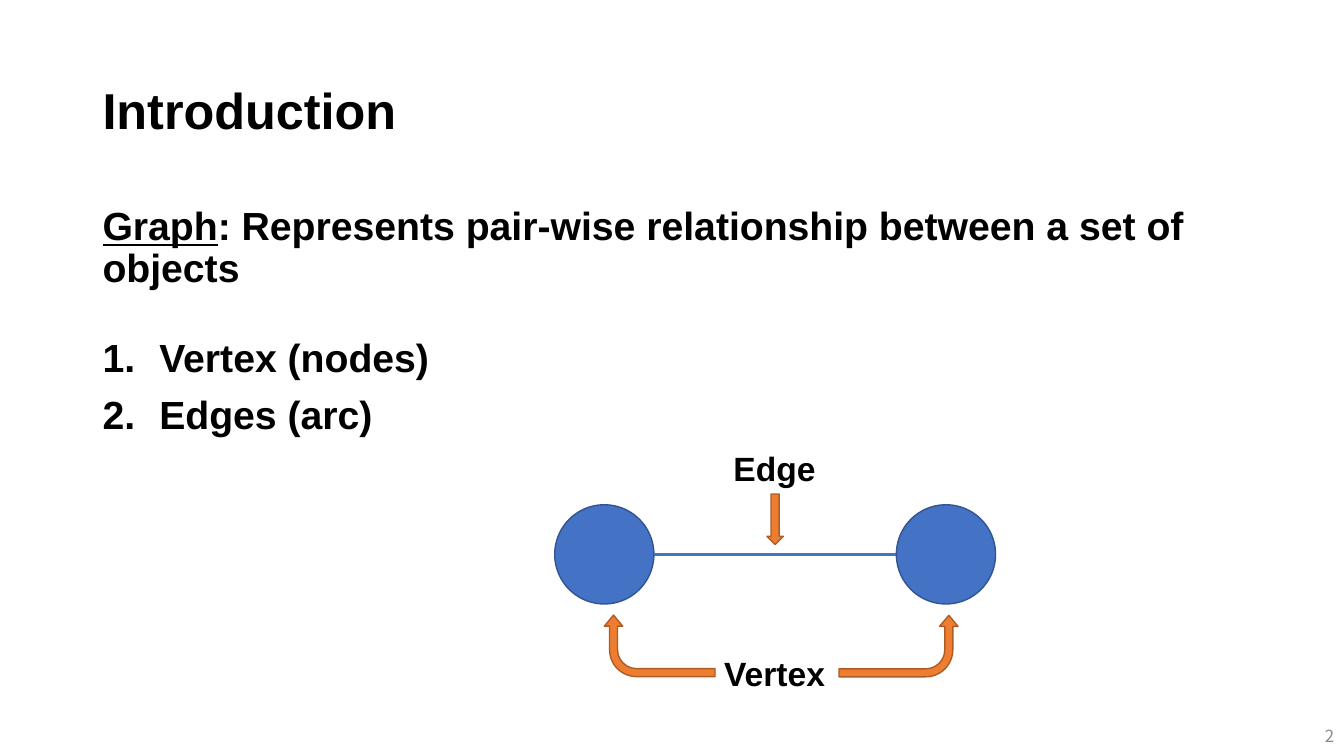
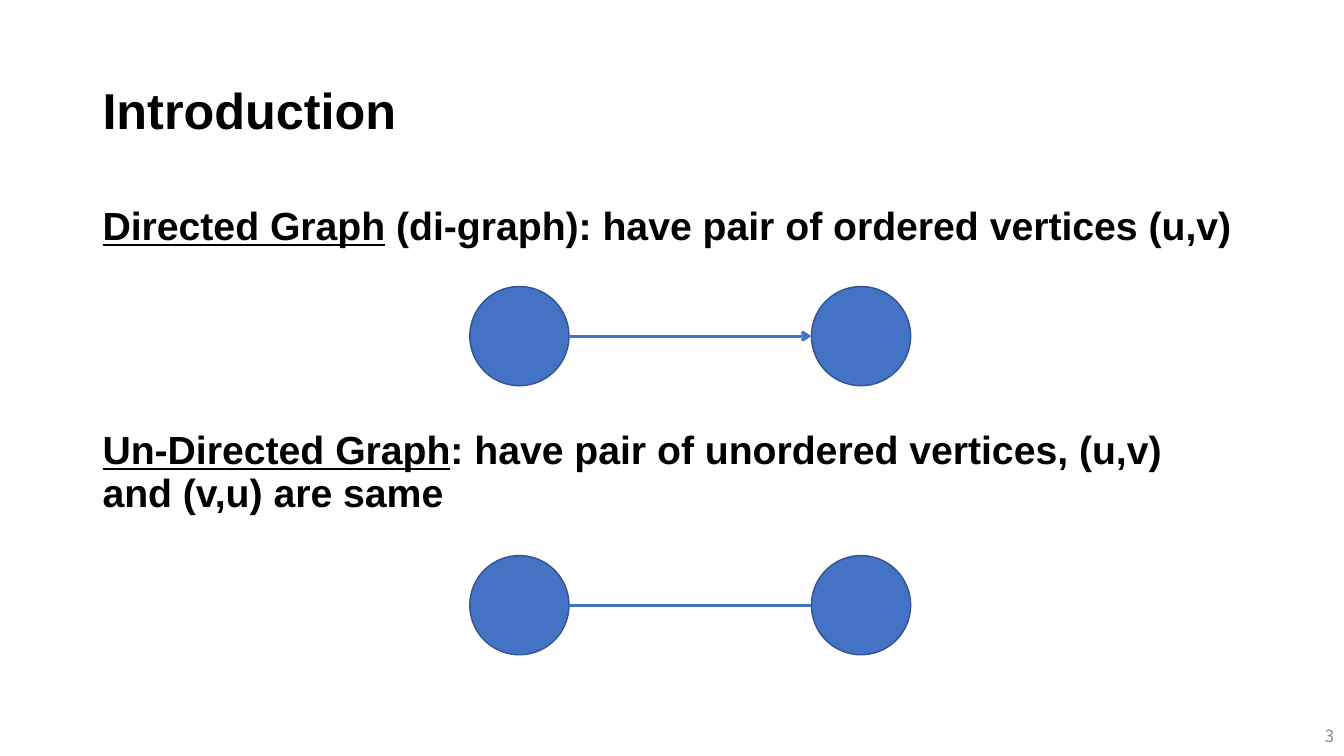
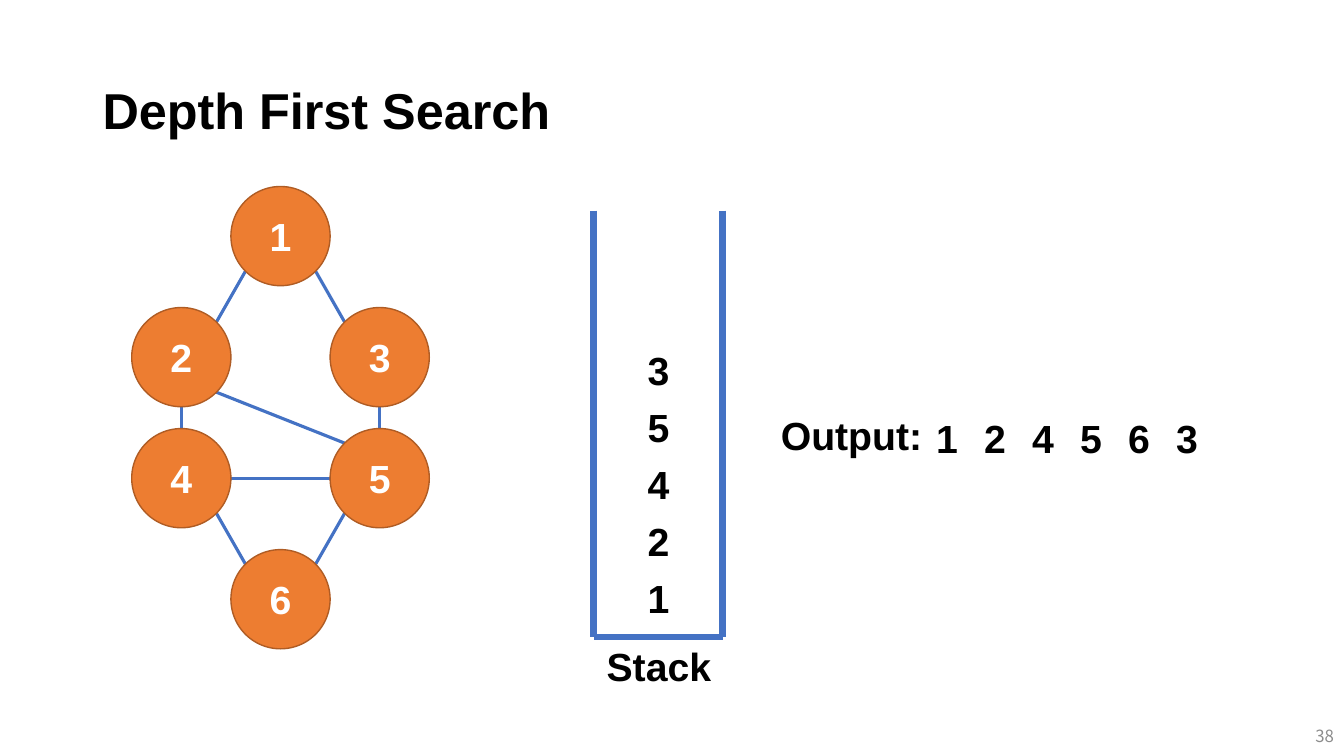
"""Build three slides that introduce graphs and depth first search."""
from lxml import etree
from pptx import Presentation
from pptx.dml.color import RGBColor
from pptx.enum import shapes, text
from pptx.oxml.ns import qn
from pptx.util import Cm, Pt

BLACK = RGBColor(0, 0, 0)
WHITE = RGBColor(255, 255, 255)
GREY = RGBColor(0x8C, 0x8C, 0x8C)
BLUE = RGBColor(0x44, 0x72, 0xC4)
NAVY = RGBColor(0x32, 0x54, 0x91)
ORANGE = RGBColor(0xED, 0x7D, 0x31)
RUST = RGBColor(0xAF, 0x5C, 0x24)

FONT = "Arial"
SMALL = "Noto Sans CJK KR"
SIDE, WIDE = 2.33, 29.21
NODE = 2.5
SPAN = 8.61
LEFT, MID, RIGHT = text.PP_ALIGN.LEFT, text.PP_ALIGN.CENTER, text.PP_ALIGN.RIGHT


def style(para, size, color=BLACK, align=LEFT, name=FONT, bold=True):
    """Set the alignment and font of a whole paragraph."""
    para.alignment = align
    font = para.font
    font.name, font.size, font.bold = name, Pt(size), bold
    font.color.rgb = color


def place(shape, x, y, w, h):
    """Move and size a shape, in centimetres."""
    shape.left, shape.top, shape.width, shape.height = Cm(x), Cm(y), Cm(w), Cm(h)


def label(slide, words, x, y, w, h=1.45, size=28, **look):
    """Add a one-line text box."""
    box = slide.shapes.add_textbox(Cm(x), Cm(y), Cm(w), Cm(h))
    frame = box.text_frame
    frame.word_wrap = True
    frame.text = words
    style(frame.paragraphs[0], size, **look)
    return frame


def page(deck, title, number, layout=1):
    """Add a slide with its title and page number."""
    slide = deck.slides.add_slide(deck.slide_layouts[layout])
    head = slide.shapes.title
    place(head, SIDE, 1.01, WIDE, 3.68)
    frame = head.text_frame
    frame.text = title
    frame.vertical_anchor = text.MSO_ANCHOR.MIDDLE
    frame.auto_size = text.MSO_AUTO_SIZE.NONE
    para = frame.paragraphs[0]
    para.line_spacing = 0.9
    style(para, 36)
    foot = label(slide, str(number), 26.25, 18.03, 7.62, 1.02, 12,
                 color=GREY, align=RIGHT, name=SMALL, bold=False)
    foot.vertical_anchor = text.MSO_ANCHOR.MIDDLE
    return slide


def body(slide, items, height):
    """Fill the body with (term, rest, space before) items; no term means numbered."""
    hold = slide.placeholders[1]
    place(hold, SIDE, 5.08, WIDE, height)
    frame = hold.text_frame
    frame.auto_size = text.MSO_AUTO_SIZE.NONE
    for i, (term, rest, space) in enumerate(items):
        para = frame.add_paragraph() if i else frame.paragraphs[0]
        para.line_spacing = 0.9
        para.space_before = Pt(space)
        props = para._p.get_or_add_pPr()
        dent = 0 if term else Cm(1.43)
        props.set("marL", str(dent))
        props.set("indent", str(-dent))
        if term:
            etree.SubElement(props, qn("a:buNone"))
            para.add_run().text = term
            para.runs[0].font.underline = True
        else:
            etree.SubElement(props, qn("a:buFont"), typeface="+mj-lt")
            etree.SubElement(props, qn("a:buAutoNum"), type="arabicPeriod")
        para.add_run().text = rest
        style(para, 28)


def solid(slide, kind, x, y, w, h, fill=ORANGE, edge=RUST):
    """Add a filled and outlined preset shape."""
    shape = slide.shapes.add_shape(kind, Cm(x), Cm(y), Cm(w), Cm(h))
    shape.shadow.inherit = False
    shape.fill.solid()
    shape.fill.fore_color.rgb = fill
    shape.line.color.rgb = edge
    shape.line.width = Pt(1)
    return shape


def node(slide, spot, name="", fill=ORANGE, edge=RUST):
    """Add a round node centred on a spot."""
    x, y = spot
    half = NODE / 2
    shape = solid(slide, shapes.MSO_SHAPE.OVAL, x - half, y - half, NODE, NODE, fill, edge)
    if name:
        frame = shape.text_frame
        frame.text = name
        frame.vertical_anchor = text.MSO_ANCHOR.MIDDLE
        style(frame.paragraphs[0], 28, WHITE, MID)


def line(slide, start, end, width=2.25, arrow=False):
    """Add a straight blue line, with an arrowhead if wanted."""
    wire = slide.shapes.add_connector(
        shapes.MSO_CONNECTOR.STRAIGHT, *(Cm(v) for v in (*start, *end)))
    wire.line.color.rgb = BLUE
    wire.line.width = Pt(width)
    if arrow:
        etree.SubElement(wire.line._get_or_add_ln(), qn("a:tailEnd"), type="arrow")
    etree.SubElement(wire._element.spPr, qn("a:effectLst"))


def link(slide, a, b, arrow=False):
    """Join two nodes at the rim points that face each other."""
    dx, dy = ((q > p) - (q < p) for p, q in zip(a, b))
    reach = NODE / 2 * (0.5 ** 0.5 if dx and dy else 1)
    line(slide, (a[0] + dx * reach, a[1] + dy * reach),
         (b[0] - dx * reach, b[1] - dy * reach), arrow=arrow)


def pair(slide, x, y, arrow=False):
    """Draw two linked blue nodes."""
    ends = (x, y), (x + SPAN, y)
    for spot in ends:
        node(slide, spot, fill=BLUE, edge=NAVY)
    link(slide, *ends, arrow=arrow)


def bend(slide, x, y, w, h, turn, flip=False):
    """Add a bent arrow, turned and perhaps mirrored."""
    shape = solid(slide, shapes.MSO_SHAPE.BENT_ARROW, x, y, w, h)
    for i, value in enumerate((0.13, 0.15, 0.18, 0.44)):
        shape.adjustments[i] = value
    shape.rotation = turn
    if flip:
        shape._element.spPr.xfrm.set("flipH", "1")


def parts(deck):
    """Show the parts of a graph."""
    slide = page(deck, "Introduction", 2)
    body(slide, [
        ("Graph", ": Represents pair-wise relationship between a set of objects", 0),
        ("", "Vertex (nodes)", 34),
        ("", "Edges (arc)", 10)], 6.1)
    pair(slide, 15.23, 13.97)
    bend(slide, 21.87, 14.78, 1.55, 3, 90, True)
    bend(slide, 15.85, 14.88, 1.55, 2.79, 270)
    solid(slide, shapes.MSO_SHAPE.DOWN_ARROW, 19.33, 12.45, 0.41, 1.27)
    for word, y in (("Edge", 11.15), ("Vertex", 16.33)):
        label(slide, word, 17.73, y, 3.58, 1.27, 24, align=MID)


def kinds(deck):
    """Compare directed and undirected graphs."""
    slide = page(deck, "Introduction", 3)
    body(slide, [
        ("Directed Graph", " (di-graph): have pair of ordered vertices (u,v)", 0),
        ("Un-Directed Graph",
         ": have pair of unordered vertices, (u,v) and (v,u) are same", 130)], 10.57)
    pair(slide, 13.09, 8.47, arrow=True)
    pair(slide, 13.09, 15.25)


def search(deck):
    """Show a search with its stack and output."""
    slide = page(deck, "Depth First Search", 38, 5)
    cells = {"1": (1, 0), "2": (0, 1), "3": (2, 1), "4": (0, 2), "5": (2, 2), "6": (1, 3)}
    spots = {name: (4.57 + 2.5 * col, 5.95 + 3.05 * row)
             for name, (col, row) in cells.items()}
    for a, b in ("12", "13", "24", "25", "35", "45", "46", "56"):
        link(slide, spots[a], spots[b])
    for name, spot in spots.items():
        node(slide, spot, name)

    left, right, top, base = 14.96, 18.21, 5.31, 16.05
    for start, end in (((left, top), (left, base)), ((right, top), (right, base)),
                       ((left, base), (right, base))):
        line(slide, start, end, 4.5)
    label(slide, "Stack", 14.38, base, 4.45, align=MID)
    for i, name in enumerate("12453"):
        label(slide, name, 15.77, 14.35 - 1.44 * i, 1.65, align=MID)
    label(slide, "Output:", 19.43, 10.24, 4.45)
    for i, name in enumerate("124563"):
        label(slide, name, 23.04 + 1.21 * i, 10.31, 1.65, align=MID)


def main():
    """Build and save the deck."""
    deck = Presentation()
    deck.slide_width, deck.slide_height = Cm(33.87), Cm(19.05)
    parts(deck)
    kinds(deck)
    search(deck)
    deck.save("out.pptx")


if __name__ == "__main__":
    main()
